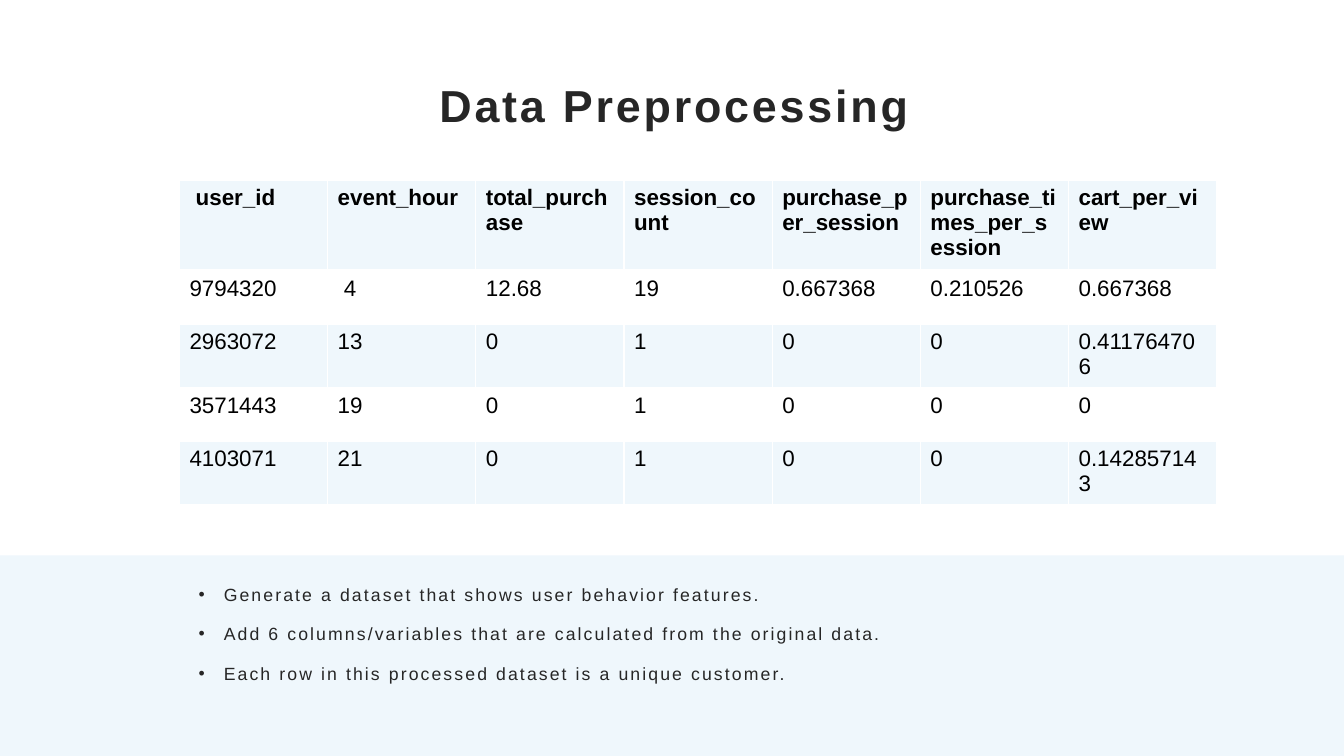
"""Build the data preprocessing slide with a feature table and three notes."""
from dataclasses import dataclass

from lxml import etree
from pptx import Presentation
from pptx import util as u
from pptx.dml.color import RGBColor
from pptx.enum import shapes, text
from pptx.oxml import ns

FONT = "Arial"
PALE, WHITE, BLACK, CHARCOAL = "EFF7FC", "FFFFFF", "000000", "262626"
COLUMN_WIDTH = 1.47

NOTES = (
    "Generate a dataset that shows user behavior features.",
    "Add 6 columns/variables that are calculated from the original data.",
    "Each row in this processed dataset is a unique customer.",
)


@dataclass(frozen=True)
class Box:
    left: float
    top: float
    width: float
    height: float

    def lengths(self) -> tuple:
        return tuple(u.Inches(v) for v in (self.left, self.top, self.width, self.height))


@dataclass(frozen=True)
class TableRow:
    height: float
    values: tuple
    bold: bool = False
    rule: float = 1


ROWS = (
    TableRow(0.9, (" user_id", "event_hour", "total_purchase", "session_count",
                   "purchase_per_session", "purchase_times_per_session",
                   "cart_per_view"), bold=True, rule=3),
    TableRow(0.53, ("9794320", " 4", "12.68", "19", "0.667368", "0.210526", "0.667368")),
    TableRow(0.63, ("2963072", "13", "0", "1", "0", "0", "0.411764706")),
    TableRow(0.53, ("3571443", "19", "0", "1", "0", "0", "0")),
    TableRow(0.63, ("4103071", "21", "0", "1", "0", "0", "0.142857143")),
)


def paint(color_format, color: str) -> None:
    color_format.rgb = RGBColor.from_string(color)


def fill_solid(target, color: str) -> None:
    target.fill.solid()
    paint(target.fill.fore_color, color)


def write(paragraph, content: str, *, size: float, color: str,
          bold: bool = False, spacing: float = 0) -> None:
    run = paragraph.add_run()
    run.text = content
    run.font.name, run.font.size, run.font.bold = FONT, u.Pt(size), bold
    paint(run.font.color, color)
    if spacing:
        run._r.get_or_add_rPr().set("spc", str(round(spacing * 100)))


def place(placeholder, box: Box, margins: tuple, anchor) -> None:
    (placeholder.left, placeholder.top,
     placeholder.width, placeholder.height) = box.lengths()
    frame = placeholder.text_frame
    frame.word_wrap = True
    frame.auto_size = text.MSO_AUTO_SIZE.NONE
    frame.vertical_anchor = anchor
    (frame.margin_left, frame.margin_top,
     frame.margin_right, frame.margin_bottom) = (u.Inches(m) for m in margins)


def add_bullet(paragraph) -> None:
    properties = paragraph._p.get_or_add_pPr()
    properties.set("marL", str(u.Inches(0.25)))
    properties.set("indent", str(u.Inches(-0.25)))
    etree.SubElement(properties, ns.qn("a:buFont"), typeface=FONT)
    etree.SubElement(properties, ns.qn("a:buChar"), char="•")


def add_borders(cell, top: float, bottom: float) -> None:
    properties = cell._tc.get_or_add_tcPr()
    widths = {"a:lnL": 1, "a:lnR": 1, "a:lnT": top, "a:lnB": bottom}
    for position, (side, width) in enumerate(widths.items()):
        line = etree.Element(ns.qn(side), w=str(u.Pt(width)))
        fill = etree.SubElement(line, ns.qn("a:solidFill"))
        etree.SubElement(fill, ns.qn("a:srgbClr"), val=WHITE)
        properties.insert(position, line)


def add_band(slide) -> None:
    band = slide.shapes.add_shape(shapes.MSO_SHAPE.RECTANGLE,
                                  *Box(0, 5.51, 13.33, 1.99).lengths())
    band.shadow.inherit = False
    fill_solid(band, PALE)
    band.line.fill.background()
    slide.shapes.title.element.addprevious(band.element)


def add_title(slide) -> None:
    title = slide.shapes.title
    place(title, Box(0.67, 0.73, 12, 0.62), (0.11, 0.04, 0.08, 0.04),
          text.MSO_ANCHOR.MIDDLE)
    paragraph = title.text_frame.paragraphs[0]
    paragraph.alignment = text.PP_ALIGN.CENTER
    write(paragraph, "Data Preprocessing", size=32, color=CHARCOAL, bold=True, spacing=2)


def add_notes_list(slide) -> None:
    body = slide.placeholders[1]
    place(body, Box(1.86, 5.75, 9.6, 1.11), (0.11, 0, 0.09, 0), text.MSO_ANCHOR.TOP)
    frame = body.text_frame
    for index, note in enumerate(NOTES):
        paragraph = frame.add_paragraph() if index else frame.paragraphs[0]
        paragraph.line_spacing = 1.2
        paragraph.space_before, paragraph.space_after = u.Pt(0), u.Pt(10)
        add_bullet(paragraph)
        write(paragraph, note, size=12.6, color=CHARCOAL, spacing=1.5)


def add_feature_table(slide) -> None:
    columns = len(ROWS[0].values)
    box = Box(1.78, 1.79, columns * COLUMN_WIDTH, sum(row.height for row in ROWS))
    table = slide.shapes.add_table(len(ROWS), columns, *box.lengths()).table
    for column in table.columns:
        column.width = u.Inches(COLUMN_WIDTH)
    rule_above = 1
    for index, row in enumerate(ROWS):
        table.rows[index].height = u.Inches(row.height)
        for cell, value in zip(table.rows[index].cells, row.values):
            fill_solid(cell, WHITE if index % 2 else PALE)
            add_borders(cell, rule_above, row.rule)
            write(cell.text_frame.paragraphs[0], value, size=16, color=BLACK, bold=row.bold)
        rule_above = row.rule


def main() -> None:
    presentation = Presentation()
    presentation.slide_width, presentation.slide_height = u.Inches(13.33), u.Inches(7.5)
    slide = presentation.slides.add_slide(presentation.slide_layouts[1])
    fill_solid(slide.background, WHITE)
    add_band(slide)
    add_title(slide)
    add_notes_list(slide)
    add_feature_table(slide)
    presentation.save("out.pptx")


if __name__ == "__main__":
    main()
